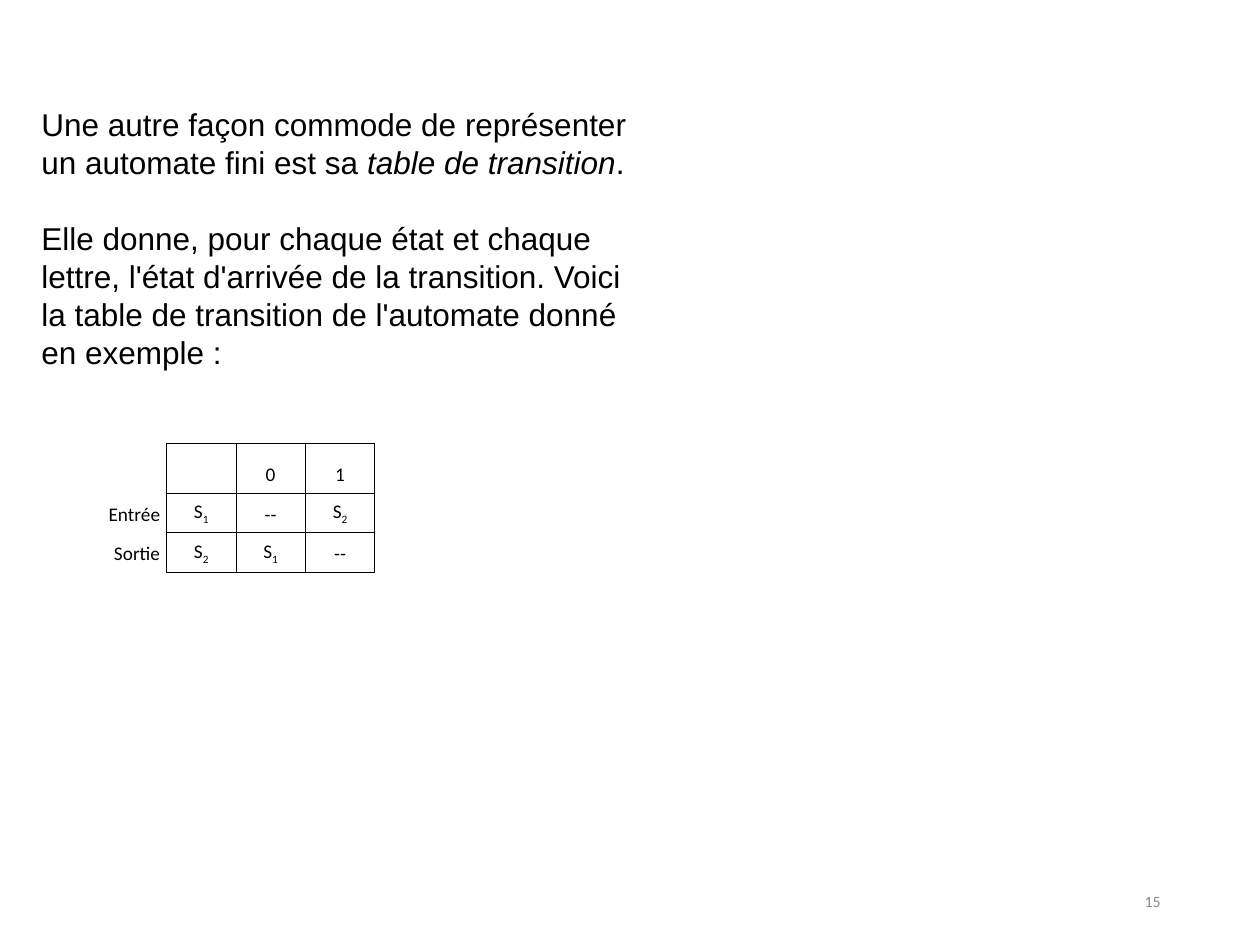
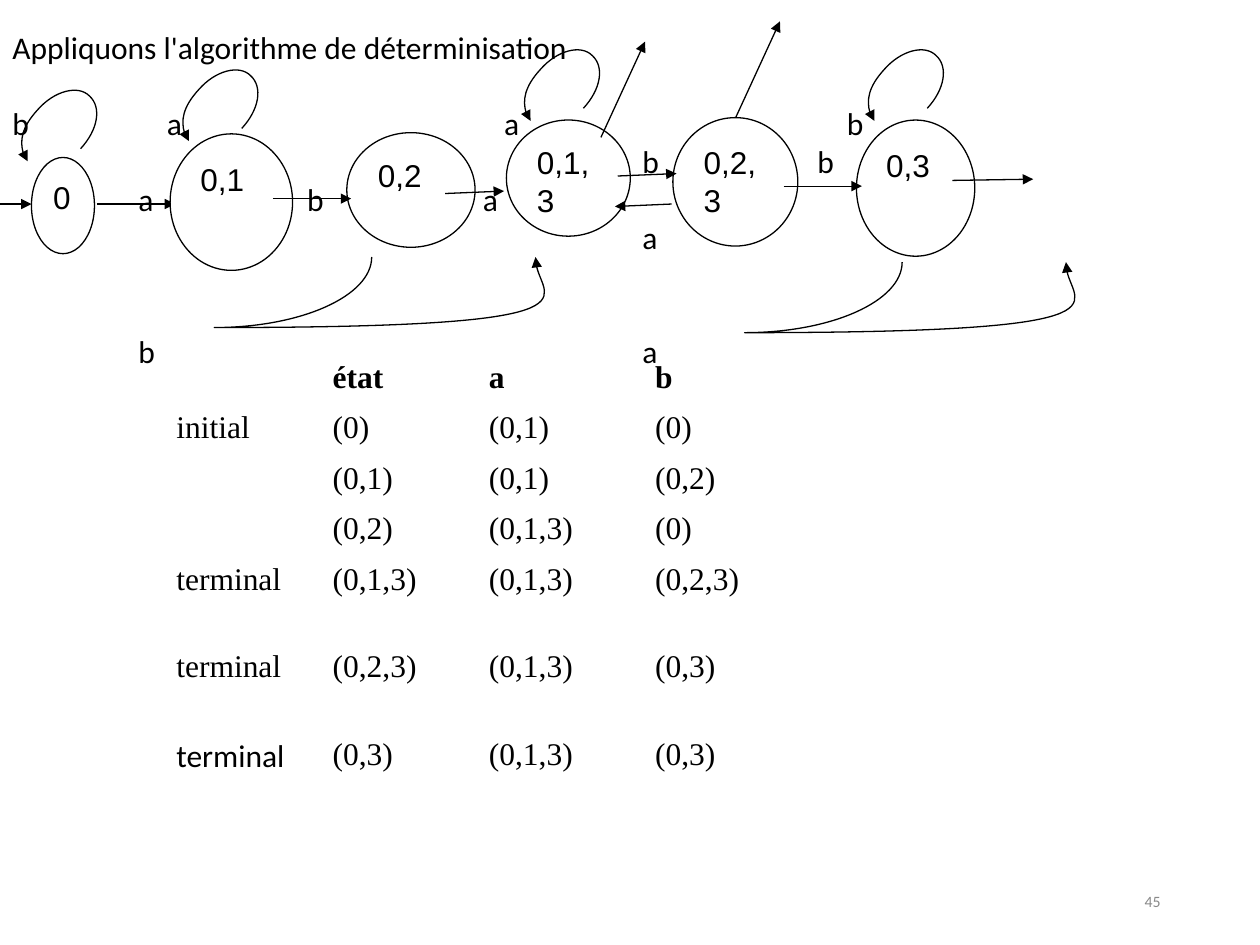
import lxml.etree
import pptx
import pptx.dml.color
import pptx.enum.shapes
import pptx.enum.text
import pptx.oxml.ns
import pptx.util

Pt = pptx.util.Pt
qn = pptx.oxml.ns.qn
ALIGN = pptx.enum.text.PP_ALIGN
ANCHOR = pptx.enum.text.MSO_ANCHOR

COLORS = {"ink": "000000", "paper": "FFFFFF", "page_number": "898989"}
LEADING = 21.7
NO_TABLE_STYLE = "{2D5ABB26-0587-4C30-8999-92F81FD0307C}"

# Curves are control points relative to their start, three per segment.
LOOP = [(10, -10.8), (12.2, -23.8), (5, -30.2),
        (-1.4, -36.7), (-15.1, -33.1), (-24.5, -22.3),
        (-33.8, -12.2), (-36, 0.7), (-30.2, 7.2)]
SWOOP = [(0, 22.3), (-40.3, 40.3), (-90, 40.3),
         (133.9, 40.3), (93.6, 22.3), (93.6, 0)]


def rgb(name):
    return pptx.dml.color.RGBColor.from_string(COLORS[name])


def sub_element(parent, tag, **attributes):
    return lxml.etree.SubElement(parent, qn(tag), **attributes)


def write(para, text, font="Calibri", size=18, color="ink", bold=False,
          align=ALIGN.LEFT, leading=None, gap=0, tabs=()):
    """Fill a paragraph; text is a string or a list of (string, style) spans,
    where style is "", "italic" or "subscript"."""
    if tabs:
        stops = sub_element(para._p.get_or_add_pPr(), "a:tabLst")
        for position in tabs:
            sub_element(stops, "a:tab", pos=str(int(Pt(position))), algn="l")
    para.alignment = align
    if leading:
        para.line_spacing = Pt(leading)
    if gap:
        para.space_before = Pt(gap)
    if not text:
        end = sub_element(para._p, "a:endParaRPr", sz=str(size * 100))
        sub_element(end, "a:latin", typeface=font)
        return
    for string, style in [(text, "")] if isinstance(text, str) else text:
        span = para.add_run()
        span.text = string
        span.font.name = font
        span.font.size = Pt(size)
        span.font.bold = bold
        span.font.italic = style == "italic"
        span.font.color.rgb = rgb(color)
        if style == "subscript":
            span.font._element.set("baseline", "-25000")


def set_margins(holder, across, down):
    holder.margin_left = holder.margin_right = Pt(across)
    holder.margin_top = holder.margin_bottom = Pt(down)


def add_text(page, left, top, width, height, paragraphs,
             anchor=ANCHOR.TOP, **text_format):
    """Each paragraph is (text, extra format)."""
    box = page.shapes.add_textbox(Pt(left), Pt(top), Pt(width), Pt(height))
    frame = box.text_frame
    frame.word_wrap = True
    frame.vertical_anchor = anchor
    set_margins(frame, 7.2, 3.6)
    for index, (text, extra) in enumerate(paragraphs):
        para = frame.add_paragraph() if index else frame.paragraphs[0]
        write(para, text, **{**text_format, **extra})


def add_page_number(page, number):
    add_text(page, 508.3, 500.4, 162, 28.8, [(number, {})], size=9,
             color="page_number", align=ALIGN.RIGHT, anchor=ANCHOR.MIDDLE)


def add_borders(cell, sides):
    properties = cell._tc.get_or_add_tcPr()
    for side in "LRTB":
        line = sub_element(properties, "a:ln" + side, w=str(int(Pt(0.45))))
        if side in sides:
            fill = sub_element(line, "a:solidFill")
            sub_element(fill, "a:srgbClr", val=COLORS["ink"])
        else:
            sub_element(line, "a:noFill")


def add_table(page, left, top, widths, heights, rows, margins, format_cell):
    """format_cell(cell, row, column) sets borders and returns text format."""
    frame = page.shapes.add_table(len(rows), len(widths), Pt(left), Pt(top),
                                  Pt(sum(widths)), Pt(sum(heights)))
    table = frame.table
    table.first_row = table.horz_banding = False
    table._tbl.tblPr.find(qn("a:tableStyleId")).text = NO_TABLE_STYLE
    for column, width in zip(table.columns, widths):
        column.width = Pt(width)
    for row, height in zip(table.rows, heights):
        row.height = Pt(height)
    for r, texts in enumerate(rows):
        for c, text in enumerate(texts):
            cell = table.cell(r, c)
            set_margins(cell, *margins)
            text_format = format_cell(cell, r, c)
            cell.fill.background()
            write(cell.text_frame.paragraphs[0], text, **text_format)


def format_transition_cell(cell, row, column):
    cell.vertical_anchor = ANCHOR.BOTTOM
    is_label = column == 0
    add_borders(cell, "R" if is_label else "LRTB")
    return {"size": 11, "align": ALIGN.RIGHT if is_label else ALIGN.CENTER}


def format_subset_cell(cell, row, column):
    is_last_label = (row, column) == (6, 0)
    return {"font": "Calibri" if is_last_label else "Times New Roman",
            "bold": row == 0}


def add_state(page, left, top, width, height, label):
    state = page.shapes.add_shape(pptx.enum.shapes.MSO_SHAPE.OVAL, Pt(left),
                                  Pt(top), Pt(width), Pt(height))
    state.shadow.inherit = False
    state.fill.solid()
    state.fill.fore_color.rgb = rgb("paper")
    state.line.color.rgb = rgb("ink")
    state.line.width = Pt(0.75)
    frame = state.text_frame
    frame.word_wrap = True
    frame.vertical_anchor = ANCHOR.TOP
    set_margins(frame, 7.2, 3.6)
    write(frame.paragraphs[0], label, font="Arial", leading=LEADING)


def style_arrow(shape):
    shape.line.color.rgb = rgb("ink")
    shape.line.width = Pt(0.75)
    sub_element(shape.line._get_or_add_ln(), "a:tailEnd", type="triangle")


def add_arrow(page, x1, y1, x2, y2):
    arrow = page.shapes.add_connector(pptx.enum.shapes.MSO_CONNECTOR.STRAIGHT,
                                      Pt(x1), Pt(y1), Pt(x2), Pt(y2))
    style_arrow(arrow)
    sub_element(arrow._element.spPr, "a:effectLst")


def add_curved_arrow(page, x, y, controls):
    builder = page.shapes.build_freeform(Pt(x), Pt(y))
    builder.add_line_segments([(Pt(x + dx), Pt(y + dy)) for dx, dy in controls],
                              close=False)
    curve = builder.convert_to_shape()
    outline = curve._element.spPr.find(".//" + qn("a:path"))
    lines = outline.findall(qn("a:lnTo"))
    for start in range(0, len(lines), 3):
        bezier = sub_element(outline, "a:cubicBezTo")
        for line in lines[start:start + 3]:
            bezier.append(line[0])
            outline.remove(line)
    curve.shadow.inherit = False
    curve.fill.background()
    style_arrow(curve)


def build_transition_table(page):
    add_page_number(page, "15")
    add_text(page, 16.6, 56.2, 360, 158.4, [
        ([("Une autre façon commode de représenter un automate fini est sa ", ""),
          ("table de transition", "italic"), (".", "")], {}),
        ("Elle donne, pour chaque état et chaque lettre, l'état d'arrivée de la "
         "transition. Voici la table de transition de l'automate donné en "
         "exemple :", {"gap": LEADING}),
    ], font="Arial", leading=LEADING)
    s1, s2 = ([("S", ""), (digit, "subscript")] for digit in "12")
    rows = [["", "", "0", "1"],
            ["Entrée", s1, "--", s2],
            ["Sortie", s2, s1, "--"]]
    add_table(page, 45.4, 253.2, [49.7] + [39.7] * 3, [28.6, 22.7, 22.7], rows,
              (3.6, 3.6), format_transition_cell)


def build_determinisation(page):
    rows = [["", "état", "a", "b"],
            ["initial", "(0)", "(0,1)", "(0)"],
            ["", "(0,1)", "(0,1)", "(0,2)"],
            ["", "(0,2)", "(0,1,3)", "(0)"],
            ["terminal", "(0,1,3)", "(0,1,3)", "(0,2,3)"],
            ["terminal", "(0,2,3)", "(0,1,3)", "(0,3)"],
            ["terminal", "(0,3)", "(0,1,3)", "(0,3)"]]
    add_table(page, 95.8, 202.3, [89.3, 89.3, 95, 95],
              [28.1, 27, 27.3, 27.3, 49.7, 50.4, 51.1], rows, (5, 3.6),
              format_subset_cell)
    add_text(page, 0, 12.2, 618.5, 244.8, [
        ("Appliquons l'algorithme de déterminisation", {}),
        ("b\ta\ta\tb", {"gap": LEADING, "tabs": [88.2, 281, 476.8]}),
        ("\tb\tb", {"tabs": [360, 460]}),
        ("\ta\tb\ta", {"tabs": [72, 168.4, 268.8]}),
        ("\ta", {"tabs": [360]}),
        ("\tb\ta", {"gap": 2 * LEADING, "tabs": [72, 360]}),
    ], leading=LEADING)

    for arrow in [(0, 116.6, 18, 116.6), (55.4, 116.6, 100.1, 116.6)]:
        add_arrow(page, *arrow)
    for state in [(18, 90, 36, 55, "0"),
                  (97.2, 76.5, 70, 78, "0,1"),
                  (198.2, 75.8, 73.3, 65.5, "0,2"),
                  (289.4, 68.6, 70.8, 66.4, "0,1,3"),
                  (384.5, 67.2, 71.4, 73.4, "0,2,3"),
                  (489.4, 68.6, 67.6, 77.8, "0,3")]:
        add_state(page, *state)
    for arrow in [(155.9, 113.5, 200.7, 113.5), (254.4, 110.6, 288, 109.2),
                  (353, 100.6, 386.6, 99.2), (383.8, 116.6, 351.4, 118),
                  (447.8, 106.4, 492.5, 106.4), (544.3, 103.1, 590.4, 102.4),
                  (420.5, 67, 445.7, 12.2), (343.4, 78.5, 368.6, 23.8)]:
        add_arrow(page, *arrow)
    for x, y in [(46.1, 85), (138.2, 73.4), (333.4, 61.9), (529.9, 61.9)]:
        add_curved_arrow(page, x, y, LOOP)
    for x, y in [(212.4, 146.9), (515.5, 149.8)]:
        add_curved_arrow(page, x, y, SWOOP)
    add_page_number(page, "45")


def main():
    deck = pptx.Presentation()
    deck.slide_width, deck.slide_height = Pt(720), Pt(540)
    for build in (build_transition_table, build_determinisation):
        build(deck.slides.add_slide(deck.slide_layouts[6]))
    deck.save("out.pptx")


if __name__ == "__main__":
    main()
